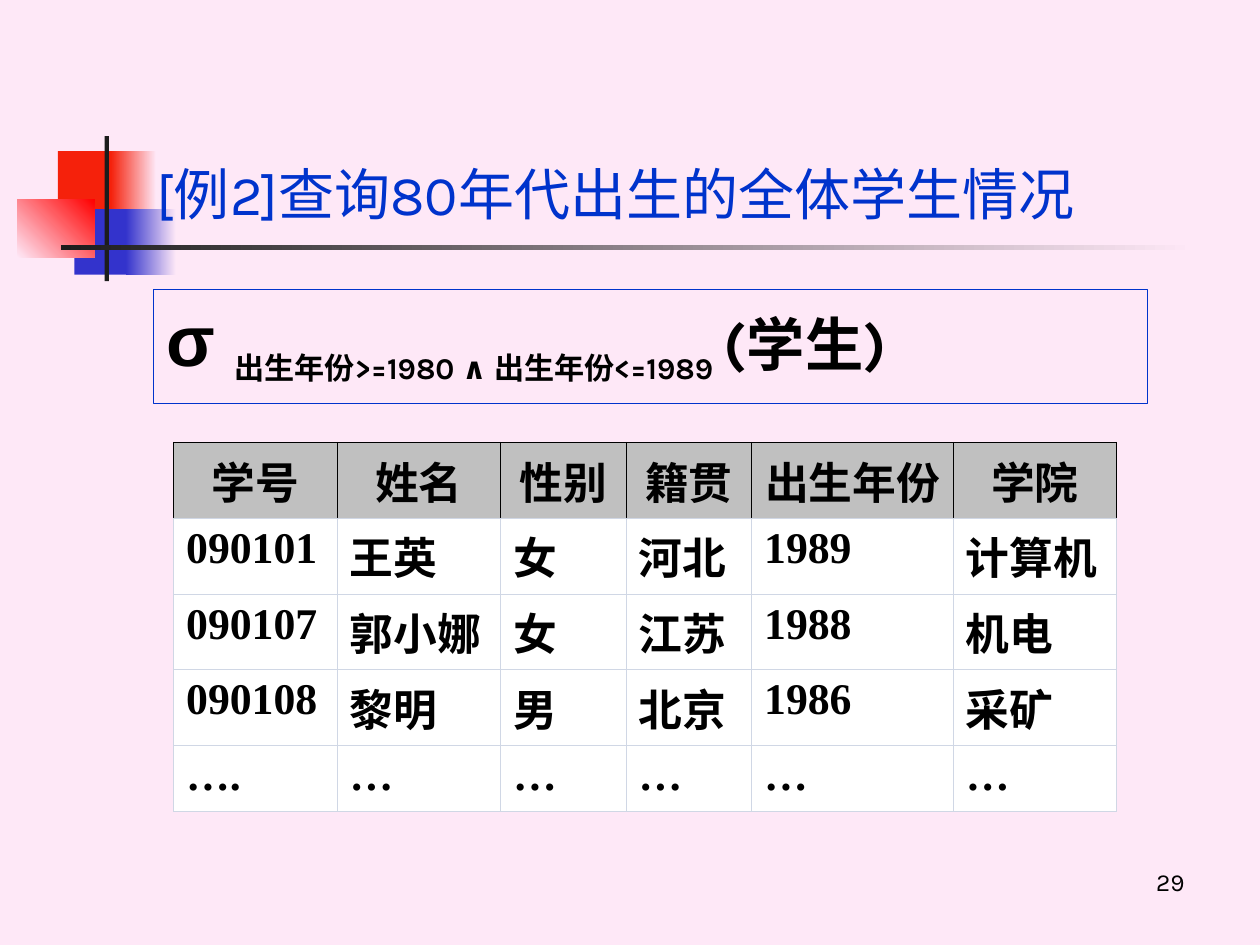
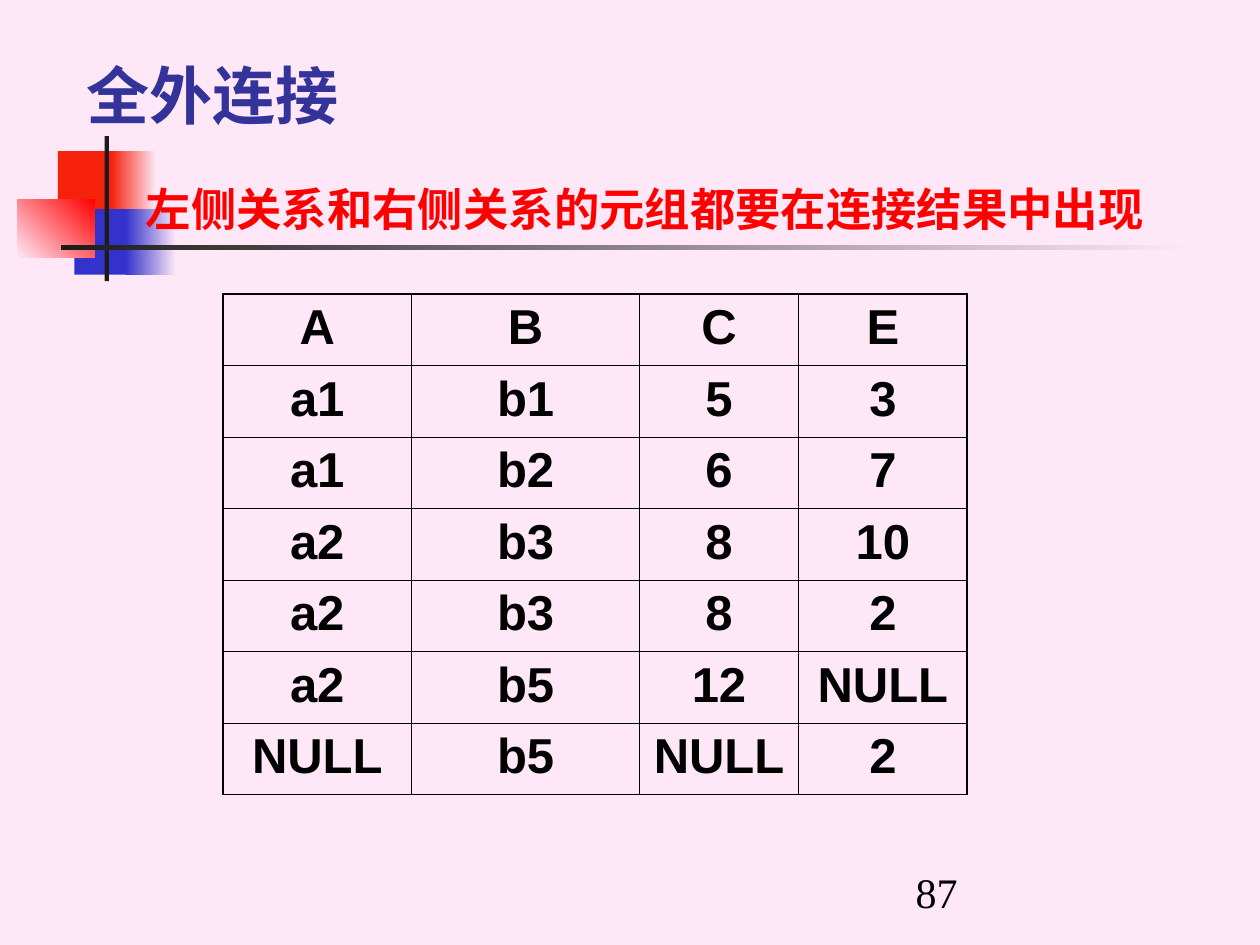
import pptx
import pptx.dml.color
import pptx.enum.shapes
import pptx.enum.text
import pptx.oxml
import pptx.oxml.ns
import pptx.util

Pt = pptx.util.Pt
RGB = pptx.dml.color.RGBColor
ALIGN = pptx.enum.text.PP_ALIGN
ANCHOR = pptx.enum.text.MSO_ANCHOR

# Colours and fonts
PINK = RGB(0xFE, 0xE8, 0xF7)
SCARLET = RGB(0xF5, 0x21, 0x0B)
RED = RGB(0xFF, 0x00, 0x00)
INDIGO = RGB(0x33, 0x33, 0xCC)
NAVY = RGB(0x33, 0x33, 0x99)
BLUE = RGB(0x00, 0x33, 0xCC)
INK = RGB(0x1C, 0x1C, 0x1C)
BLACK = RGB(0x00, 0x00, 0x00)
WHITE = RGB(0xFF, 0xFF, 0xFF)
GREY = RGB(0xC0, 0xC0, 0xC0)
PALE_BLUE = RGB(0xD0, 0xD7, 0xE5)
KARLA, ARIAL, TIMES = "Karla", "Arial", "Times New Roman"

TITLE_AND_BODY, TITLE_ONLY = 1, 5
THIN, THICK = 0.45, 1.08

# Emblem and rule: left, top, width, height, colour(s), gradient angle
EMBLEM = [
    (33.1, 86.4, 34.6, 37.4, [SCARLET], 0),
    (63.4, 86.4, 25.9, 37.4, [SCARLET, PINK], 0),
    (42.5, 119.5, 33.1, 37.4, [INDIGO], 0),
    (72, 119.5, 28.8, 37.4, [INDIGO, PINK], 0),
    (10, 113.8, 44, 33.1, [PINK, RED], 45),
    (59.8, 77.8, 2.4, 82.8, [INK], 0),
    (34.8, 140.2, 648, 2.4, [INK, PINK], 0),
]


class Deck:
    def __init__(self):
        self.prs = pptx.Presentation()
        self.prs.slide_width, self.prs.slide_height = Pt(720), Pt(540)
        self.slide = None
        background = self.prs.slide_master.background.fill
        background.solid()
        background.fore_color.rgb = PINK

    def add_slide(self, layout):
        self.slide = self.prs.slides.add_slide(self.prs.slide_layouts[layout])

    def add_emblem(self):
        """Draw the emblem and move it to the back of the master."""
        master_tree = self.prs.slide_master.shapes.element
        for i, (left, top, width, height, colours, angle) in enumerate(EMBLEM):
            block = self.slide.shapes.add_shape(
                pptx.enum.shapes.MSO_SHAPE.RECTANGLE,
                Pt(left), Pt(top), Pt(width), Pt(height))
            block.shadow.inherit = False
            block.line.fill.background()
            if len(colours) == 1:
                block.fill.solid()
                block.fill.fore_color.rgb = colours[0]
            else:
                block.fill.gradient()
                block.fill.gradient_angle = angle
                for stop, colour in zip(block.fill.gradient_stops, colours):
                    stop.color.rgb = colour
            block.element.nvSpPr.cNvPr.id = 20 + i
            master_tree.insert(2 + i, block.element)

    def style(self, paragraph, font, size, colour, bold=False, align=ALIGN.LEFT):
        paragraph.alignment = align
        paragraph.font.name = font
        paragraph.font.size = Pt(size)
        paragraph.font.bold = bold
        paragraph.font.color.rgb = colour

    def place(self, shape, left, top, width, height, anchor):
        shape.left, shape.top = Pt(left), Pt(top)
        shape.width, shape.height = Pt(width), Pt(height)
        frame = shape.text_frame
        frame.word_wrap = True
        frame.auto_size = pptx.enum.text.MSO_AUTO_SIZE.NONE
        frame.vertical_anchor = anchor
        return frame.paragraphs[0]

    def title(self, text, box, anchor, size, colour, bold=False):
        heading = self.place(self.slide.shapes.title, *box, anchor)
        heading.text = text
        self.style(heading, KARLA, size, colour, bold)

    def text(self, text, box, font, size, colour, bold=False, align=ALIGN.LEFT):
        area = self.slide.shapes.add_textbox(0, 0, 0, 0)
        line = self.place(area, *box, ANCHOR.TOP)
        line.text = text
        self.style(line, font, size, colour, bold, align)

    def page_number(self, number, font, size, align):
        self.text(number, (516.2, 491.8, 167.8, 37.4), font, size, BLACK,
                  align=align)

    def formula(self, parts, box):
        """Fill the body placeholder; parts are text, font, size, baseline %."""
        body = self.slide.placeholders[1]
        body.line.color.rgb = BLUE
        body.line.width = Pt(0.75)
        line = self.place(body, *box, ANCHOR.TOP)
        line.line_spacing = 0.9
        line.space_before = Pt(0)
        properties = line._p.get_or_add_pPr()
        properties.set("marL", str(Pt(27)))
        properties.set("indent", str(-Pt(27)))
        properties.append(pptx.oxml.parse_xml(
            f"<a:buNone {pptx.oxml.ns.nsdecls('a')}/>"))
        line.font.bold = True
        line.font.color.rgb = BLACK
        for text, font, size, baseline in parts:
            run = line.add_run()
            run.text = text
            run.font.name, run.font.size = font, Pt(size)
            if baseline:
                run._r.get_or_add_rPr().set("baseline", str(baseline * 1000))

    def border(self, cell, **sides):
        """Set borders from L, R, T, B = (colour, width)."""
        for side in "LRTB":
            colour, width = sides[side]
            cell._tc.get_or_add_tcPr().append(pptx.oxml.parse_xml(
                f'<a:ln{side} {pptx.oxml.ns.nsdecls("a")} w="{Pt(width)}">'
                f'<a:solidFill><a:srgbClr val="{colour}"/></a:solidFill>'
                f'</a:ln{side}>'))

    def table(self, rows, left, top, widths, row_height, dress):
        """dress(cell, row, column) sets the look of one cell."""
        grid = self.slide.shapes.add_table(
            len(rows), len(widths), Pt(left), Pt(top),
            Pt(sum(widths)), Pt(row_height * len(rows))).table
        grid.first_row = grid.horz_banding = False
        for column, width in zip(grid.columns, widths):
            column.width = Pt(width)
        for r, values in enumerate(rows):
            grid.rows[r].height = Pt(row_height)
            for c, value in enumerate(values):
                cell = grid.cell(r, c)
                cell.text = value
                dress(cell, r, c)


def selection_slide(deck):
    deck.title("[例2]查询80年代出生的全体学生情况",
               (82.1, 65.5, 613.4, 90), ANCHOR.MIDDLE, 32, BLUE)
    deck.formula([
        ("σ ", ARIAL, 40.7, 0),
        ("出生年份>=1980 ∧ 出生年份<=1989", KARLA, 29.6, -25),
        (" ", KARLA, 40.7, -25),
        ("(学生)", KARLA, 33.3, 0),
    ], (87.8, 165.6, 568, 64.8))

    # Students born in the eighties
    students = [
        ["学号", "姓名", "性别", "籍贯", "出生年份", "学院"],
        ["090101", "王英", "女", "河北", "1989", "计算机"],
        ["090107", "郭小娜", "女", "江苏", "1988", "机电"],
        ["090108", "黎明", "男", "北京", "1986", "采矿"],
        ["….", "…", "…", "…", "…", "…"],
    ]

    def dress(cell, r, c):
        header = r == 0
        edge, pale = (BLACK if header else PALE_BLUE, THIN), (PALE_BLUE, THIN)
        deck.border(cell, L=edge, R=edge, T=edge, B=pale)
        cell.fill.solid()
        cell.fill.fore_color.rgb = GREY if header else WHITE
        cell.vertical_anchor = ANCHOR.MIDDLE if header else ANCHOR.TOP
        deck.style(cell.text_frame.paragraphs[0], TIMES, 25, BLACK, True,
                   ALIGN.CENTER if header else ALIGN.LEFT)

    deck.table(students, 99.2, 252.7, [93.4, 93.4, 71.8, 71.8, 115.2, 93.4],
               37.3, dress)
    deck.page_number("29", KARLA, 14, ALIGN.RIGHT)


def full_join_slide(deck):
    deck.title("全外连接", (42.5, -10.8, 612, 90), ANCHOR.BOTTOM, 36, NAVY, True)
    deck.text("左侧关系和右侧关系的元组都要在连接结果中出现",
              (76.3, 100.1, 658, 39.6), KARLA, 25.9, RED, True)

    # Result of the full outer join
    join_result = [
        ["A", "B", "C", "E"],
        ["a1", "b1", "5", "3"],
        ["a1", "b2", "6", "7"],
        ["a2", "b3", "8", "10"],
        ["a2", "b3", "8", "2"],
        ["a2", "b5", "12", "NULL"],
        ["NULL", "b5", "NULL", "2"],
    ]

    def dress(cell, r, c):
        def edge(outer):
            return BLACK, THICK if outer else THIN
        deck.border(cell, L=edge(c == 0), R=edge(c == 3), T=edge(r == 0),
                    B=edge(False))
        cell.fill.background()
        deck.style(cell.text_frame.paragraphs[0], ARIAL, 28, BLACK, True,
                   ALIGN.CENTER)

    deck.table(join_result, 127.4, 168, [107.8, 130.3, 90.8, 96.5], 40.9, dress)
    deck.page_number("87", TIMES, 24, ALIGN.LEFT)


def main():
    deck = Deck()
    deck.add_slide(TITLE_AND_BODY)
    deck.add_emblem()
    selection_slide(deck)
    deck.add_slide(TITLE_ONLY)
    full_join_slide(deck)
    deck.prs.save("out.pptx")


if __name__ == "__main__":
    main()
